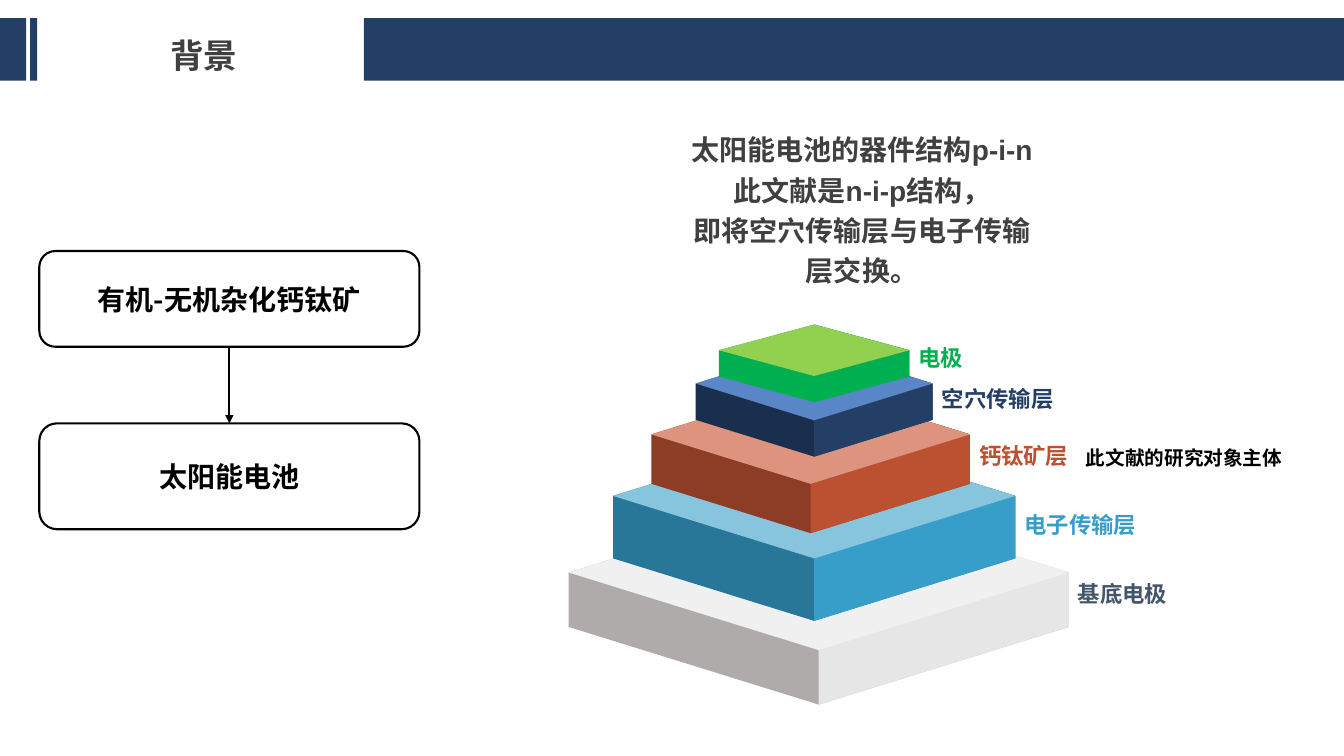
from dataclasses import dataclass

from lxml.etree import SubElement
from pptx import Presentation
from pptx.dml.color import RGBColor
from pptx.enum.shapes import MSO_CONNECTOR, MSO_SHAPE
from pptx.enum.text import MSO_ANCHOR, MSO_AUTO_SIZE, PP_ALIGN
from pptx.oxml.ns import qn
from pptx.util import Inches, Pt


@dataclass(frozen=True)
class Theme:
    navy: str = "233F66"
    grey: str = "404040"
    black: str = "000000"
    latin: str = "Arial"
    asian: str = "Noto Sans CJK SC"
    title: int = 24
    body: int = 20
    label: int = 16
    note: int = 14
    line: float = 1.5
    wide: float = 13.33
    high: float = 7.5


THEME = Theme()

TIERS = [
    ("基底电极", (5.64, 4.91, 4.96, 1.54), 0.54, 0.85,
     ("AFABAB", "E7E6E6", "F1F0F0", "44546A")),
    ("电子传输层", (6.08, 4.3, 3.99, 1.24), 0.62, 0.77,
     ("287798", "379ECA", "87C5DF", "379ECA")),
    ("钙钛矿层", (6.46, 3.82, 3.16, 0.98), 0.49, 0.57,
     ("8D3D25", "BC5131", "DD937D", "BC5131")),
    ("空穴传输层", (6.9, 3.44, 2.35, 0.73), 0.36, 0.38,
     ("1A2F4D", "233F66", "5886C6", "233F66")),
    ("电极", (7.13, 3.22, 1.89, 0.51), 0.26, 0.19,
     ("00B050", "00B050", "92D050", "00B050")),
]


def place(shape, box):
    shape.left, shape.top, shape.width, shape.height = map(Inches, box)


def write(shape, text, size, color, align=PP_ALIGN.LEFT, space=None,
          anchor=MSO_ANCHOR.TOP, latin=THEME.latin):
    frame = shape.text_frame
    frame.text = text
    frame.vertical_anchor = anchor
    for para in frame.paragraphs:
        para.alignment = align
        para.line_spacing = space
        para.space_before = Pt(0)
        for run in para.runs:
            font = run.font
            font.size = Pt(size)
            font.bold = True
            font.color.rgb = RGBColor.from_string(color)
            font.name = latin
            SubElement(font._element, qn("a:ea"), typeface=THEME.asian)
    return frame


def paint(shape, color):
    shape.shadow.inherit = False
    shape.fill.solid()
    shape.fill.fore_color.rgb = RGBColor.from_string(color)
    shape.line.fill.background()


def header(slide, box):
    left, top, width, height = box
    for start, end in ((3.61, width), (0, 0.26), (0.3, 0.37)):
        bar = slide.shapes.add_shape(MSO_SHAPE.RECTANGLE, 0, 0, 0, 0)
        place(bar, (left + start, top, end - start, height))
        paint(bar, THEME.navy)
    title = slide.shapes.title
    place(title, (left + 0.83, top + 0.06, 2.38, 0.54))
    frame = write(title, "背景", THEME.title, THEME.grey, PP_ALIGN.CENTER,
                  1.2, MSO_ANCHOR.MIDDLE, THEME.asian)
    frame.auto_size = MSO_AUTO_SIZE.SHAPE_TO_FIT_TEXT


def intro(slide, box):
    body = slide.placeholders[1]
    place(body, box)
    lines = ["太阳能电池的器件结构p-i-n", "此文献是n-i-p结构，",
             "即将空穴传输层与电子传输层交换。"]
    frame = write(body, "\n".join(lines), THEME.body, THEME.grey,
                  PP_ALIGN.CENTER, 1.2, MSO_ANCHOR.MIDDLE)
    frame.auto_size = MSO_AUTO_SIZE.SHAPE_TO_FIT_TEXT
    for para in frame.paragraphs:
        props = para._p.get_or_add_pPr()
        props.set("marL", "0")
        props.set("indent", "0")
        SubElement(props, qn("a:buNone"))


def flow(slide, box):
    left, top, width, height = box
    black = RGBColor.from_string(THEME.black)
    group = slide.shapes.add_group_shape()
    cards = []
    for text, drop, tall, latin in (
            ("有机-无机杂化钙钛矿", 0, 0.95, THEME.asian),
            ("太阳能电池", height - 1.05, 1.05, THEME.latin)):
        card = group.shapes.add_shape(MSO_SHAPE.ROUNDED_RECTANGLE, 0, 0, 0, 0)
        place(card, (left, top + drop, width, tall))
        card.shadow.inherit = False
        card.fill.background()
        card.line.color.rgb = black
        card.line.width = Pt(THEME.line)
        write(card, text, THEME.body, THEME.black, PP_ALIGN.CENTER,
              anchor=MSO_ANCHOR.MIDDLE, latin=latin)
        cards.append(card)
    first, last = cards
    mid = first.left + first.width // 2
    arrow = group.shapes.add_connector(
        MSO_CONNECTOR.STRAIGHT, mid, first.top + first.height, mid, last.top)
    arrow.begin_connect(first, 2)
    arrow.end_connect(last, 0)
    arrow.line.color.rgb = black
    arrow.line.width = Pt(THEME.line)
    SubElement(arrow.line._get_or_add_ln(), qn("a:tailEnd"), type="triangle")
    SubElement(arrow._element.spPr, qn("a:effectLst"))


def outline(shapes, points, color):
    spots = [(Inches(x), Inches(y)) for x, y in points]
    pen = shapes.build_freeform(*spots[0])
    pen.add_line_segments(spots[1:])
    paint(pen.convert_to_shape(), color)


def label(shapes, box, text, size, color, wrap=False, space=None):
    note = shapes.add_textbox(*map(Inches, box))
    frame = write(note, text, size, color, space=space)
    frame.word_wrap = wrap
    frame.margin_left = frame.margin_right = 0
    frame.margin_top = frame.margin_bottom = 0


def tier(shapes, box, name, depth, drop, tones):
    left, top, width, height = box
    dark, light, lid, ink = tones
    mid, right = left + width / 2, left + width
    side, base = top + height / 2, top + height + depth
    half = [(mid, top), (right, side), (right, side + depth), (mid, base)]
    outline(shapes, half + [(left, side + depth), (left, side)], dark)
    outline(shapes, half, light)
    cap = shapes.add_shape(MSO_SHAPE.DIAMOND, 0, 0, 0, 0)
    place(cap, box)
    paint(cap, lid)
    start = right + 0.09
    span = min(3.15, THEME.wide - start)
    label(shapes, (start, top + drop, span, 0.18), name, THEME.label, ink)


def stack(slide):
    group = slide.shapes.add_group_shape()
    for name, box, depth, drop, tones in TIERS:
        tier(group.shapes, box, name, depth, drop, tones)
    label(group.shapes, (10.77, 4.38, 2.56, 0.37), "此文献的研究对象主体",
          THEME.note, THEME.black, True, 1.2)


def main():
    deck = Presentation()
    deck.slide_width = Inches(THEME.wide)
    deck.slide_height = Inches(THEME.high)
    slide = deck.slides.add_slide(deck.slide_layouts[1])
    header(slide, (0, 0.18, THEME.wide, 0.62))
    flow(slide, (0.39, 2.49, 3.77, 2.76))
    stack(slide)
    intro(slide, (6.73, 1.21, 3.64, 1.68))
    deck.save("out.pptx")


if __name__ == "__main__":
    main()
